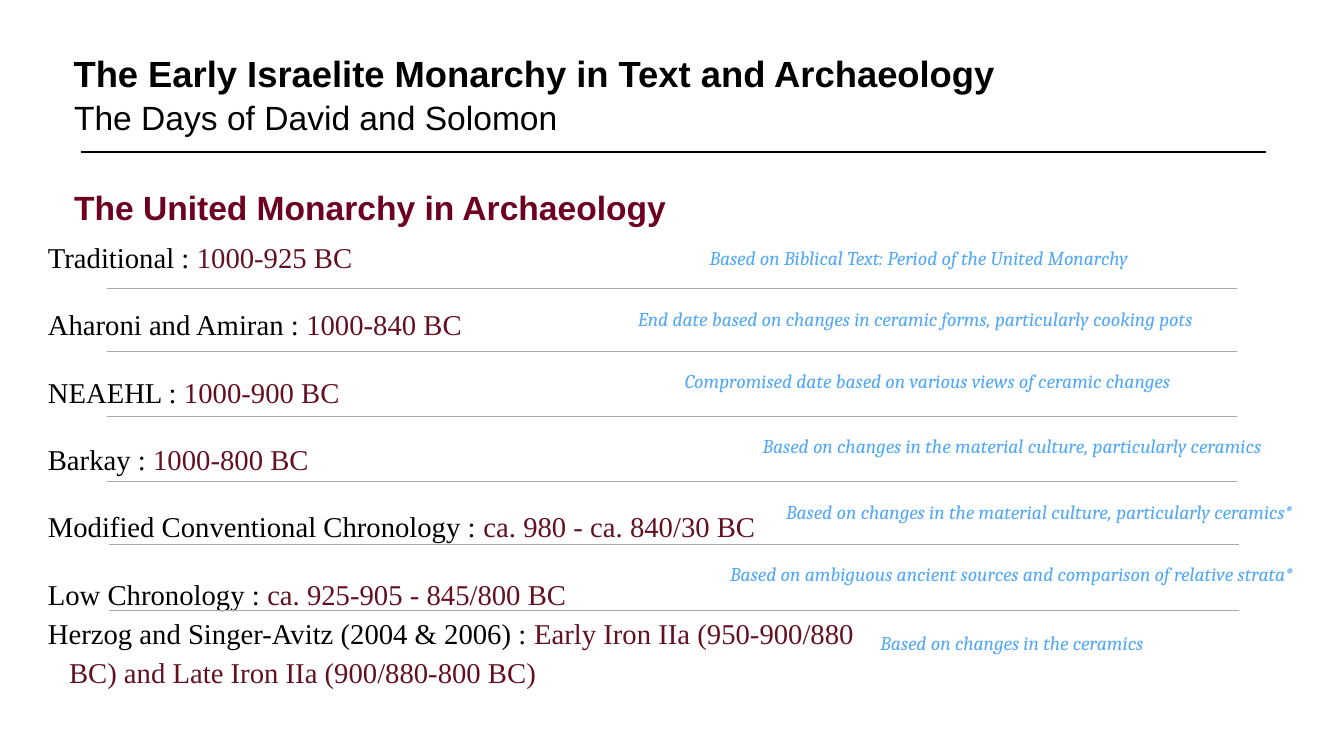
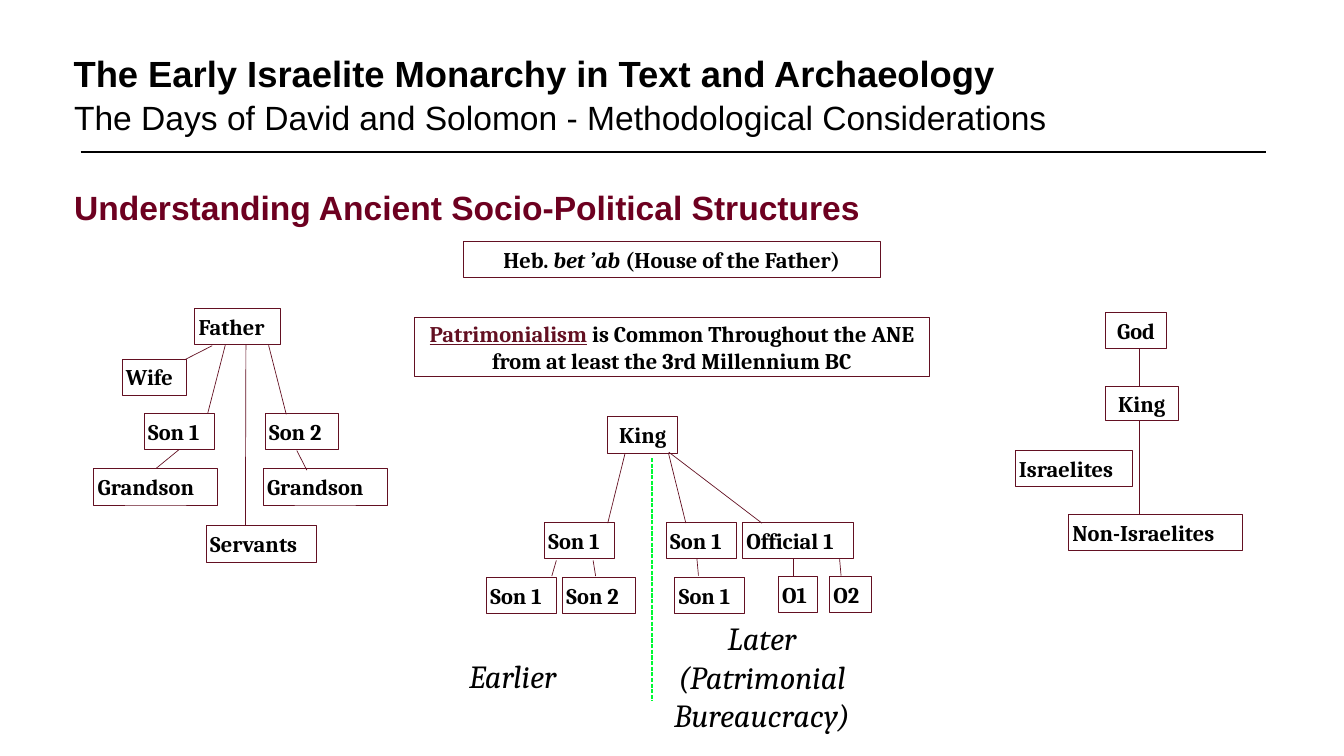
from pptx import Presentation
from pptx.dml.color import RGBColor
from pptx.enum.dml import MSO_LINE
from pptx.enum.shapes import MSO_CONNECTOR, MSO_SHAPE
from pptx.enum.text import MSO_ANCHOR, MSO_AUTO_SIZE, PP_ALIGN
from pptx.oxml.ns import qn
from pptx.util import Inches, Pt
from lxml import etree

LEFT, MID = PP_ALIGN.LEFT, PP_ALIGN.CENTER
TOP, CORE, LOW = MSO_ANCHOR.TOP, MSO_ANCHOR.MIDDLE, MSO_ANCHOR.BOTTOM
NONE = MSO_AUTO_SIZE.NONE
RECT = MSO_SHAPE.RECTANGLE
LINE = MSO_CONNECTOR.STRAIGHT
DASH = MSO_LINE.SQUARE_DOT

HUES = {"black": "000000", "head": "6D0020", "wine": "631022",
        "sky": "51A8F9", "gray": "A6AAA9", "green": "00F934"}
HUES = {name: RGBColor.from_string(code) for name, code in HUES.items()}

TITLE = {"size": Pt(52), "name": "Arial", "bold": True, "hue": "black"}
SUB = {"size": Pt(48), "name": "Arial", "bold": False, "hue": "black"}
HEAD = {"size": Pt(48), "name": "Arial", "bold": True, "hue": "head"}
LIST = {"size": Pt(41), "name": "Times New Roman", "hue": "black"}
NOTE = {"size": Pt(28), "name": "Cambria", "italic": True, "hue": "sky"}
NODE = {"size": Pt(32), "name": "Cambria", "bold": True, "hue": "black"}
ERA = {"size": Pt(46), "name": "Cambria", "italic": True, "hue": "black"}


def write(shape, paras, style, align=LEFT, anchor=CORE, inset=0.08, wrap=True):
    frame = shape.text_frame
    layout = {"auto_size": NONE, "word_wrap": wrap, "vertical_anchor": anchor}
    layout.update({"margin_" + side: Inches(inset)
                   for side in ("left", "top", "right", "bottom")})
    for key, value in layout.items():
        setattr(frame, key, value)
    for i, runs in enumerate(paras):
        para = frame.add_paragraph() if i else frame.paragraphs[0]
        para.alignment = align
        for words, extra in runs:
            run = para.add_run()
            run.text = words
            for key, value in {**style, **extra}.items():
                if key == "hue":
                    run.font.color.rgb = HUES[value]
                else:
                    setattr(run.font, key, value)
    return frame


def draw(slide, ends, hue, width):
    line = slide.shapes.add_connector(LINE, *[Inches(n) for n in ends])
    line.line.color.rgb = HUES[hue]
    line.line.width = Pt(width)
    etree.SubElement(line._element.spPr, qn("a:effectLst"))
    return line


deck = Presentation()
deck.slide_width, deck.slide_height = Inches(26.67), Inches(15)

heads = [
    ("The Days of David and Solomon", "The United Monarchy in Archaeology"),
    ("The Days of David and Solomon - Methodological Considerations",
     "Understanding Ancient Socio-Political Structures"),
]
pages = []
for sub, head in heads:
    page = deck.slides.add_slide(deck.slide_layouts[5])
    pages.append(page)
    draw(page, (1.6, 3.02, 25.13, 3.02), "black", 2)
    title = page.shapes.title
    place = {"left": 1.33, "top": 0, "width": 18.67, "height": 2.01}
    for key, value in place.items():
        setattr(title, key, Inches(value))
    write(title, [[("The Early Israelite Monarchy in Text and Archaeology", {})]],
          TITLE, anchor=LOW, inset=0.13)
    for words, top, height, style in ((sub, 1.8, 1.16, SUB), (head, 3.58, 1.39, HEAD)):
        box = page.shapes.add_textbox(Inches(1.34), Inches(top), Inches(19.91), Inches(height))
        write(box, [[(words, {})]], style, anchor=TOP, inset=0.13)

dates, tree = pages

views = [
    ("Traditional : ", "1000-925 BC"),
    ("Aharoni and Amiran : ", "1000-840 BC"),
    ("NEAEHL : ", "1000-900 BC"),
    ("Barkay : ", "1000-800 BC"),
    ("Modified Conventional Chronology : ", "ca. 980 - ca. 840/30 BC"),
    ("Low Chronology : ", "ca. 925-905 - 845/800 BC"),
    ("Herzog and Singer-Avitz (2004 & 2006) : ", "Early Iron IIa (950-900/880"),
]
wine = {"hue": "wine"}
paras = [[(who, {}), (when, wine)] for who, when in views]
paras.append([("BC) and Late Iron IIa (900/880-800 BC)", wine)])
box = dates.shapes.add_textbox(Inches(0.87), Inches(4.68), Inches(18.16), Inches(9.2))
frame = write(box, paras, LIST, anchor=TOP)
for i, para in enumerate(frame.paragraphs[1:], 1):
    para.space_before = Pt(47 if i < 6 else 7)
para._p.get_or_add_pPr().set("marL", str(Inches(0.42)))

notes = [
    ("Based on Biblical Text: Period of the United Monarchy", 14, 4.68, 12.15, LEFT),
    ("End date based on changes in ceramic forms, particularly cooking pots",
     12.58, 5.89, 13.9, LEFT),
    ("Compromised date based on various views of ceramic changes", 13.51, 7.12, 13.14, LEFT),
    ("Based on changes in the material culture, particularly ceramics",
     13.34, 8.41, 13.48, MID),
    ("Based on changes in the material culture, particularly ceramics*",
     13.74, 9.71, 13.77, MID),
    ("Based on ambiguous ancient sources and comparison of relative strata*",
     12.43, 10.94, 15.29, MID),
    ("Based on changes in the ceramics", 16.39, 12.31, 7.38, MID),
]
for words, left, top, width, align in notes:
    box = dates.shapes.add_textbox(Inches(left), Inches(top), Inches(width), Inches(0.88))
    write(box, [[(words, {})]], NOTE, align)

for i, y in enumerate((5.72, 6.98, 8.27, 9.55, 10.8, 12.11)):
    left = 2.12 if i < 4 else 2.16
    draw(dates, (left, y, left + 22.43, y), "gray", 2)

nodes = [
    ([("Heb. ", {}), ("bet ’ab ", {"italic": True}), ("(House of the Father)", {})],
     9.19, 4.78, 8.28, 0.72, MID),
    ([("Patrimonialism", {"hue": "wine", "underline": True}),
      (" is Common Throughout the ANE from at least the 3rd Millennium BC", {})],
     8.23, 6.3, 10.21, 1.17, MID),
    ([("God", {})], 21.94, 6.2, 1.21, 0.72, MID),
    ([("King", {})], 21.93, 7.67, 1.45, 0.67, MID),
    ([("King", {})], 12.06, 8.27, 1.39, 0.72, MID),
]
kin = [
    ("Father", 3.86, 6.11, 1.71), ("Wife", 2.42, 7.12, 1.27),
    ("Son 1", 2.86, 8.2, 1.39), ("Son 2", 5.26, 8.2, 1.45),
    ("Grandson", 1.86, 9.3, 2.46), ("Grandson", 5.22, 9.3, 2.46),
    ("Servants", 4.09, 10.43, 2.19),
    ("Israelites", 20.14, 8.93, 2.33), ("Non-Israelites", 21.2, 10.2, 3.46),
    ("Son 1", 10.8, 10.36, 1.39), ("Son 1", 13.22, 10.36, 1.39),
    ("Official 1", 14.73, 10.36, 2.2),
    ("Son 1", 9.65, 11.45, 1.39), ("Son 2", 11.16, 11.45, 1.45),
    ("Son 1", 13.39, 11.45, 1.39),
    ("O1", 15.44, 11.43, 0.77), ("O2", 16.46, 11.43, 0.83),
]
nodes += [([(name, {})], left, top, width, 0.72, LEFT) for name, left, top, width in kin]
sites = []
for runs, left, top, width, height, align in nodes:
    box = tree.shapes.add_shape(RECT, *[Inches(n) for n in (left, top, width, height)])
    box.shadow.inherit = False
    box.fill.background()
    box.line.color.rgb = HUES["wine"]
    box.line.width = Pt(1)
    write(box, [runs], NODE, align)
    sites += [(box, 0, left + width / 2, top), (box, 2, left + width / 2, top + height)]

links = [
    (4.21, 6.86, 3.66, 7.14), (4.47, 6.85, 4.12, 8.21), (5.33, 6.85, 5.68, 8.22),
    (3.55, 8.94, 3.06, 9.31), (5.89, 8.94, 6.09, 9.33), (4.88, 6.85, 4.87, 10.43),
    (22.61, 6.91, 22.61, 7.65), (22.61, 8.36, 22.61, 10.21),
    (12.4, 9.01, 12.06, 10.38), (13.27, 9.01, 13.61, 10.38), (13.27, 8.97, 15.12, 10.38),
    (11.04, 11.12, 10.95, 11.43), (11.77, 11.12, 11.82, 11.43),
    (13.83, 11.09, 13.86, 11.42), (15.75, 11.1, 15.75, 11.44), (16.66, 11.08, 16.69, 11.42),
]
for ends in links:
    line = draw(tree, ends, "wine", 1)
    for join, x, y in ((line.begin_connect, *ends[:2]), (line.end_connect, *ends[2:])):
        for box, side, mid, edge in sites:
            if abs(x - mid) < 0.04 and abs(y - edge) < 0.04:
                join(box, side)

split = draw(tree, (12.94, 9.09, 12.94, 13.9), "green", 2)
split.line.dash_style = DASH

eras = [
    (["Earlier"], 9.23, 12.97, 2.22, 0.88, LEFT),
    (["Later", "(Patrimonial", "Bureaucracy)"], 13.31, 12.26, 3.62, 2.32, MID),
]
for rows, left, top, width, height, align in eras:
    box = tree.shapes.add_textbox(*[Inches(n) for n in (left, top, width, height)])
    write(box, [[(row, {})] for row in rows], ERA, align, wrap=align == LEFT)

deck.save("out.pptx")
